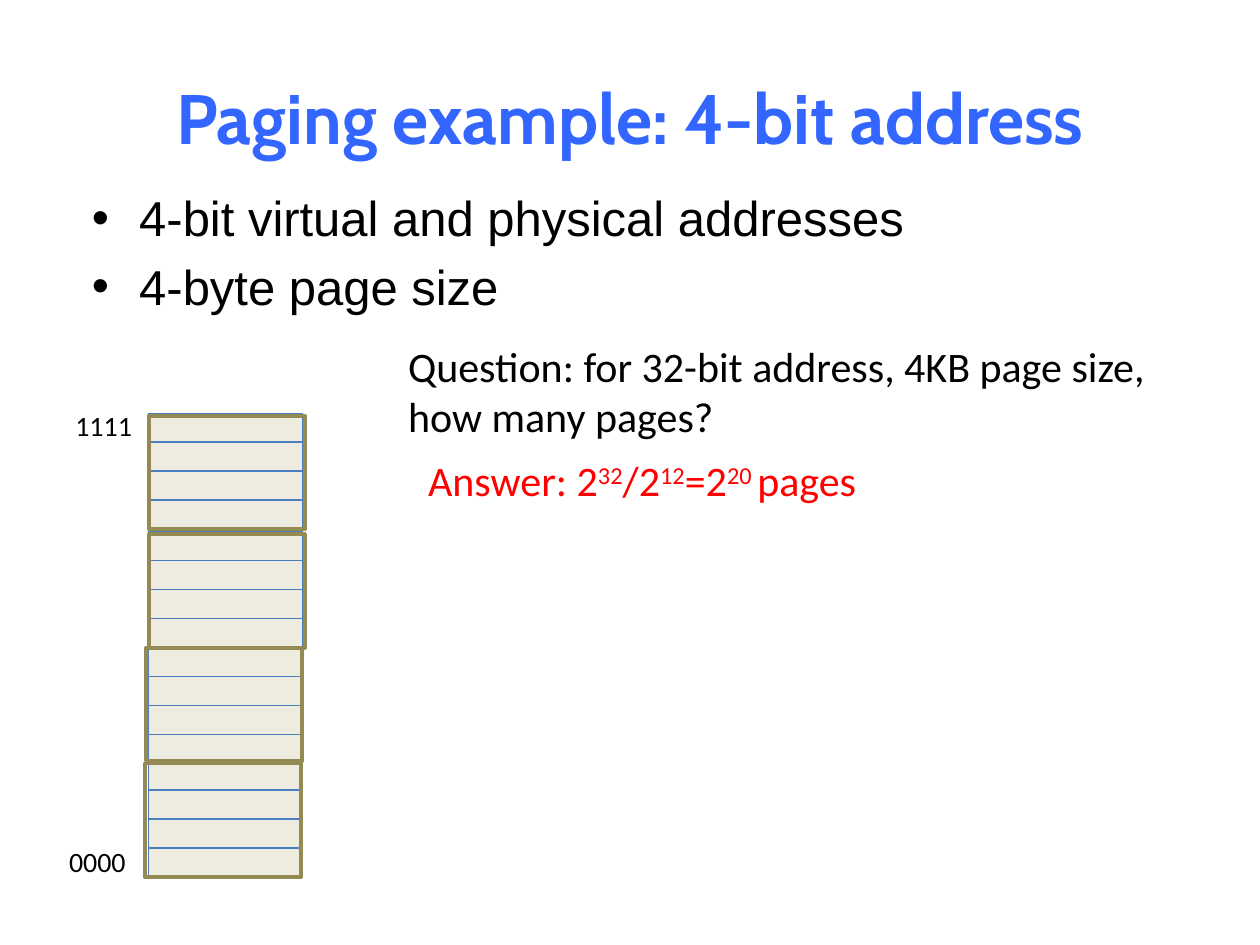
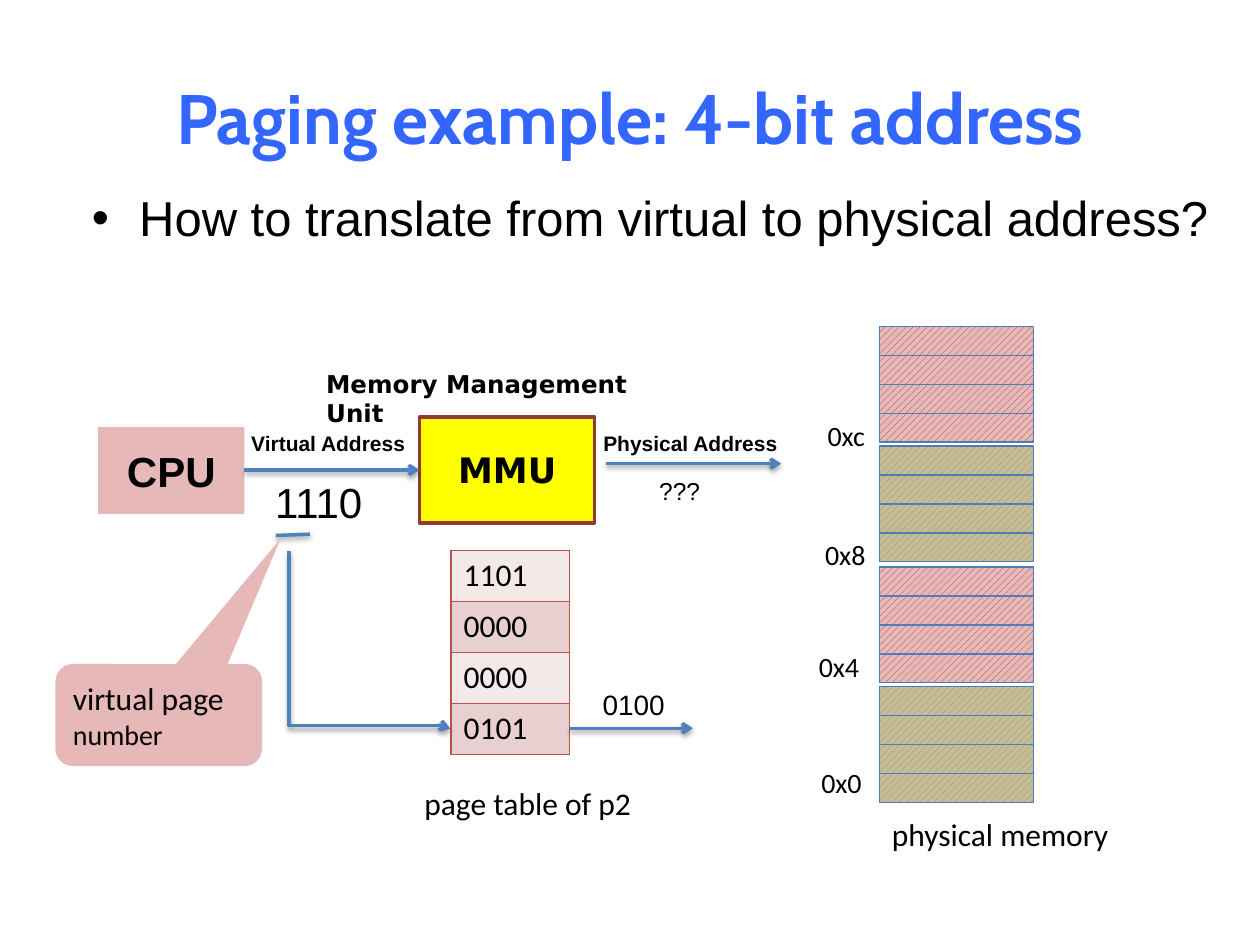
from lxml import etree
from pptx import Presentation
from pptx.dml.color import RGBColor
from pptx.enum import dml, shapes, text
from pptx.oxml import ns
from pptx.util import Inches, Pt

TITLE = "Paging example: 4-bit address"
BLACK, RED, TITLE_BLUE = "000000", "FF0000", "3366FF"
ROW_LINE, ARROW_BLUE = "4B7EBC", "4F81BD"
ROSE, ROSE_HATCH, TABLE_RED = "E6B9B8", "953735", "C0504D"
SAND, SAND_HATCH, CREAM = "C4BD97", "948A54", "EEECE1"
ROWS_PER_PAGE, ROW_PITCH = 4, 0.23
LEFT, CENTER = text.PP_ALIGN.LEFT, text.PP_ALIGN.CENTER
RECT = shapes.MSO_SHAPE.RECTANGLE


def color(value):
    """Turn a hex string into a colour."""
    return RGBColor.from_string(value)


def place(item, left, top, width, height):
    """Position and size a shape, in inches."""
    item.left, item.top = Inches(left), Inches(top)
    item.width, item.height = Inches(width), Inches(height)


def add_xml(parent, tag, **attributes):
    """Append a DrawingML element to a parent."""
    return etree.SubElement(parent, ns.qn(tag), attributes)


def style_font(font, name, size, shade=BLACK, bold=False):
    """Apply typeface, size, colour and weight."""
    font.name, font.size, font.bold = name, Pt(size), bold
    font.color.rgb = color(shade)


def style_text(frame, name, size, shade=BLACK, bold=False, align=LEFT):
    """Format every run of a text frame."""
    for para in frame.paragraphs:
        para.alignment = align
        for span in para.runs:
            style_font(span.font, name, size, shade, bold)


def add_page(deck, bullets):
    """Add a slide with the shared title and a bullet list."""
    page = deck.slides.add_slide(deck.slide_layouts[1])
    title, body = page.shapes.title, page.placeholders[1]
    place(title, 0.5, 0.3, 9, 1.25)
    title.text_frame.text = TITLE
    style_text(title.text_frame, "Cabin", 40, TITLE_BLUE, True, CENTER)
    place(body, 0.63, 1.44, 9.66, 1.11)
    body.text_frame.text = "\n".join(bullets)
    body.text_frame.paragraphs[0].space_before = Pt(0)
    style_text(body.text_frame, "Arial", 28)
    return page


def add_label(page, spot, words, size, name="Calibri", bold=False, align=LEFT, wrap=False):
    """Add a text box that fits its text."""
    box = page.shapes.add_textbox(*map(Inches, spot))
    frame = box.text_frame
    frame.text = words
    frame.word_wrap = wrap
    frame.auto_size = text.MSO_AUTO_SIZE.SHAPE_TO_FIT_TEXT
    style_text(frame, name, size, bold=bold, align=align)
    return box


def add_answer(page, spot, parts):
    """Add a red formula whose odd parts are superscripts."""
    para = add_label(page, spot, "", 24).text_frame.paragraphs[0]
    for index, words in enumerate(parts):
        span = para.add_run()
        span.text = words
        style_font(span.font, "Calibri", 24, RED)
        if index % 2:
            span.font._element.set("baseline", "30000")


def add_block(page, spot, fill=None, line=None, weight=0.75, kind=RECT, hatch=None):
    """Add a flat shape with an optional fill, hatch and outline."""
    block = page.shapes.add_shape(kind, *map(Inches, spot))
    block.shadow.inherit = False
    if hatch:
        block.fill.patterned()
        block.fill.pattern = dml.MSO_PATTERN.WIDE_UPWARD_DIAGONAL
        block.fill.fore_color.rgb = color(hatch)
        block.fill.back_color.rgb = color(fill)
    elif fill:
        block.fill.solid()
        block.fill.fore_color.rgb = color(fill)
    else:
        block.fill.background()
    if line:
        block.line.color.rgb = color(line)
        block.line.width = Pt(weight)
    else:
        block.line.fill.background()
    return block


def add_unit(page, spot, words, size, name, fill, line=None):
    """Add a hardware unit with a bold centred name."""
    block = add_block(page, spot, fill, line, 2)
    block.text_frame.text = words
    block.text_frame.vertical_anchor = text.MSO_ANCHOR.MIDDLE
    style_text(block.text_frame, name, size, bold=True, align=CENTER)


def add_memory_page(page, left, top, fill, hatch=None):
    """Stack the rows of one memory page."""
    for row in range(ROWS_PER_PAGE):
        spot = (left, top + row * ROW_PITCH, 1.22, ROW_PITCH)
        add_block(page, spot, fill, ROW_LINE, hatch=hatch)


def add_line(page, ends, arrow=True, kind=shapes.MSO_CONNECTOR.STRAIGHT):
    """Add a blue connector with a soft shadow."""
    link = page.shapes.add_connector(kind, *map(Inches, ends))
    link.line.color.rgb = color(ARROW_BLUE)
    link.line.width = Pt(2)
    properties = link._element.spPr
    if arrow:
        add_xml(link.line._get_or_add_ln(), "a:tailEnd", type="arrow")
    effects = add_xml(properties, "a:effectLst")
    shadow = add_xml(effects, "a:outerShdw", blurRad=str(Pt(3.1)), dist=str(Pt(1.6)),
                     dir="5400000", rotWithShape="0")
    shade = add_xml(shadow, "a:srgbClr", val=BLACK)
    add_xml(shade, "a:alpha", val="38000")
    return link


def add_lookup_arrow(page):
    """Add the bent arrow from the page number down to the table."""
    link = add_line(page, (3.64, 4.44, 2.23, 5.72), kind=shapes.MSO_CONNECTOR.ELBOW)
    properties = link._element.spPr
    properties.find(ns.qn("a:xfrm")).set("rot", "16200000")
    guides = properties.find(".//" + ns.qn("a:avLst"))
    add_xml(guides, "a:gd", name="adj1", fmla="val 98200")


def add_page_table(page, entries):
    """Add the one-column page table with shaded rows."""
    spot = map(Inches, (3.58, 4.37, 0.94, 1.62))
    table = page.shapes.add_table(len(entries), 1, *spot).table
    table.first_row = table.horz_banding = False
    for row, entry in enumerate(entries):
        cell = table.cell(row, 0)
        cell.text_frame.text = entry
        style_text(cell.text_frame, "Calibri", 18)
        properties = cell._tc.get_or_add_tcPr()
        for side in ("a:lnL", "a:lnR", "a:lnT", "a:lnB"):
            edge = add_xml(properties, side, w=str(Pt(1)))
            add_xml(add_xml(edge, "a:solidFill"), "a:srgbClr", val=TABLE_RED)
        cell.fill.solid()
        cell.fill.fore_color.rgb = color("E8D0D0" if row % 2 else "F4E9E9")


def add_callout(page):
    """Add the callout that names the virtual page number."""
    kind = shapes.MSO_SHAPE.ROUNDED_RECTANGULAR_CALLOUT
    callout = add_block(page, (0.44, 5.27, 1.64, 0.81), ROSE, kind=kind)
    for index, value in enumerate((0.59, -1.73, 0.17)):
        callout.adjustments[index] = value
    frame = callout.text_frame
    frame.text = "virtual page\nnumber"
    frame.vertical_anchor = text.MSO_ANCHOR.MIDDLE
    style_text(frame, "Calibri", 18)
    frame.paragraphs[1].runs[0].font.size = Pt(16)


def build_question(deck):
    """Build the slide on the number of pages."""
    page = add_page(deck, ["4-bit virtual and physical addresses", "4-byte page size"])
    question = "Question: for 32-bit address, 4KB page size,\nhow many pages?"
    add_label(page, (3.14, 2.65, 6.19, 0.91), question, 24)
    add_answer(page, (3.3, 3.56, 3.84, 0.5),
               ["Answer: 2", "32", "/2", "12", "=2", "20 ", "pages"])
    for top in (6.04, 5.14, 4.22, 3.28):
        add_memory_page(page, 1.18, top, CREAM)
    add_label(page, (0.45, 6.65, 0.66, 0.37), "0000", 16)
    add_label(page, (0.5, 3.19, 0.66, 0.37), "1111", 16)
    for left, top in ((1.15, 6.06), (1.16, 5.14), (1.18, 4.24), (1.18, 3.3)):
        add_block(page, (left, top, 1.24, 0.9), line=SAND_HATCH, weight=2.25)


def build_translation(deck):
    """Build the slide on address translation."""
    page = add_page(deck, ["How to translate from virtual to physical address?"])
    add_label(page, (6.98, 6.42, 1.95, 0.4), "physical memory", 18)
    for index, top in enumerate((2.59, 3.54, 4.5, 5.45)):
        fill, hatch = (SAND, SAND_HATCH) if index % 2 else (ROSE, ROSE_HATCH)
        add_memory_page(page, 6.98, top, fill, hatch)
    for words, left, top in (("0x0", 6.42, 6.03), ("0x4", 6.4, 5.11),
                             ("0x8", 6.45, 4.22), ("0xc", 6.47, 3.27)):
        add_label(page, (left, top, 0.53, 0.37), words, 16)

    add_page_table(page, ["1101", "0000", "0000", "0101"])
    add_unit(page, (0.78, 3.39, 1.16, 0.69), "CPU", 24, "Arial", ROSE)
    add_unit(page, (3.33, 3.31, 1.39, 0.84), "MMU", 20, "DejaVu Sans", "FFFF00", "8E3B39")
    add_label(page, (2.49, 2.88, 3.1, 0.34), "Memory Management Unit", 14,
              "DejaVu Sans", True, wrap=True)
    for spot, words, size, bold in (
        ((1.88, 3.37, 1.45, 0.3), "Virtual Address", 12, True),
        ((4.68, 3.37, 1.6, 0.3), "Physical Address", 12, True),
        ((2.08, 3.73, 0.9, 0.5), "1110", 24, False),
        ((5.13, 3.73, 0.53, 0.34), "???", 14, False),
        ((4.68, 5.41, 0.7, 0.37), "0100", 16, False),
    ):
        add_label(page, spot, words, size, "Arial", bold, CENTER)

    for ends in ((1.94, 3.73, 3.33, 3.73), (4.81, 3.68, 6.2, 3.68), (4.52, 5.78, 5.5, 5.78)):
        add_line(page, ends)
    add_line(page, (2.19, 4.25, 2.46, 4.24), arrow=False)
    add_lookup_arrow(page)
    add_callout(page)
    add_label(page, (3.27, 6.17, 1.86, 0.4), "page table of p2", 18)


def main():
    """Build and save the deck."""
    deck = Presentation()
    deck.slide_width, deck.slide_height = Inches(10), Inches(7.5)
    build_question(deck)
    build_translation(deck)
    deck.save("out.pptx")


if __name__ == "__main__":
    main()
